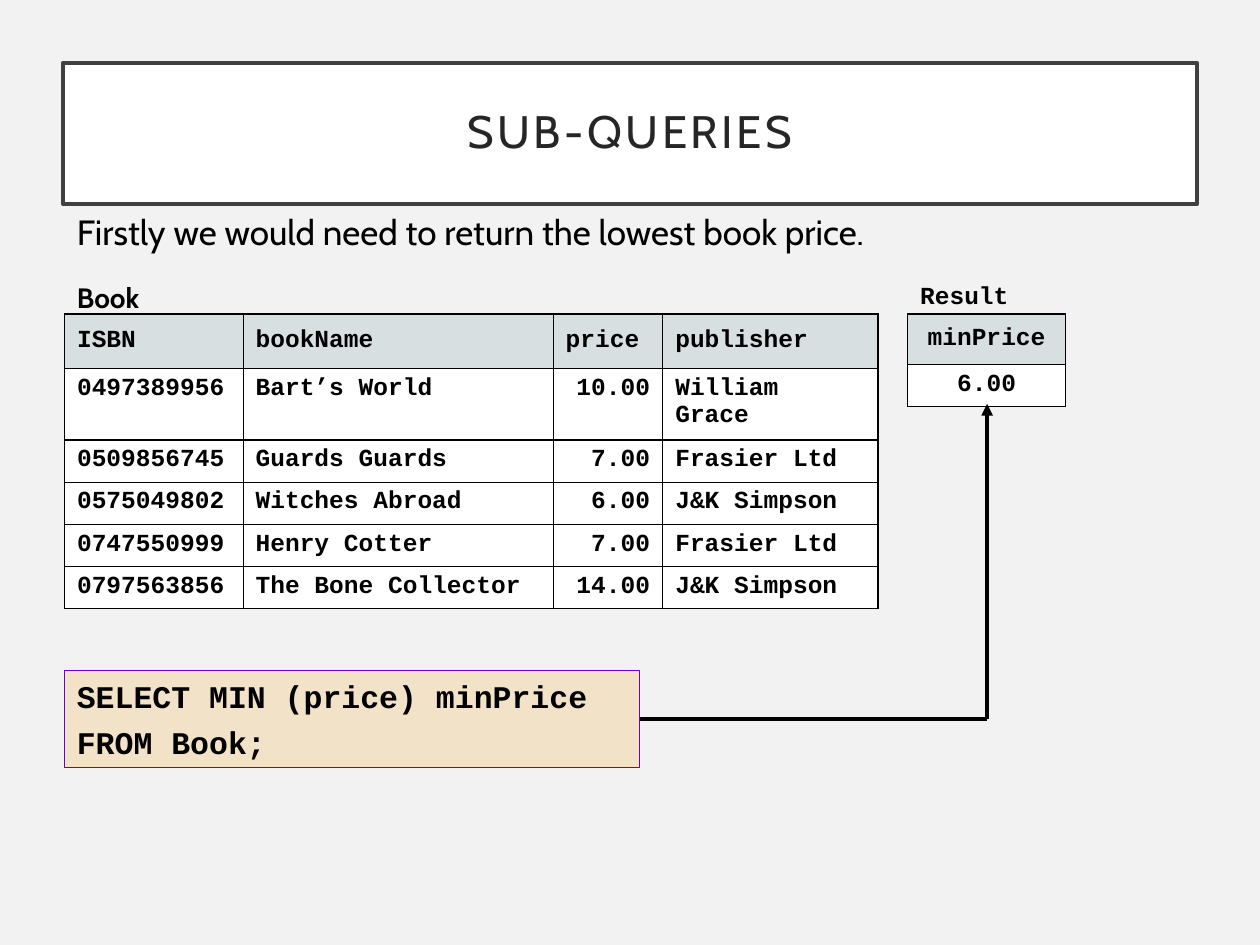
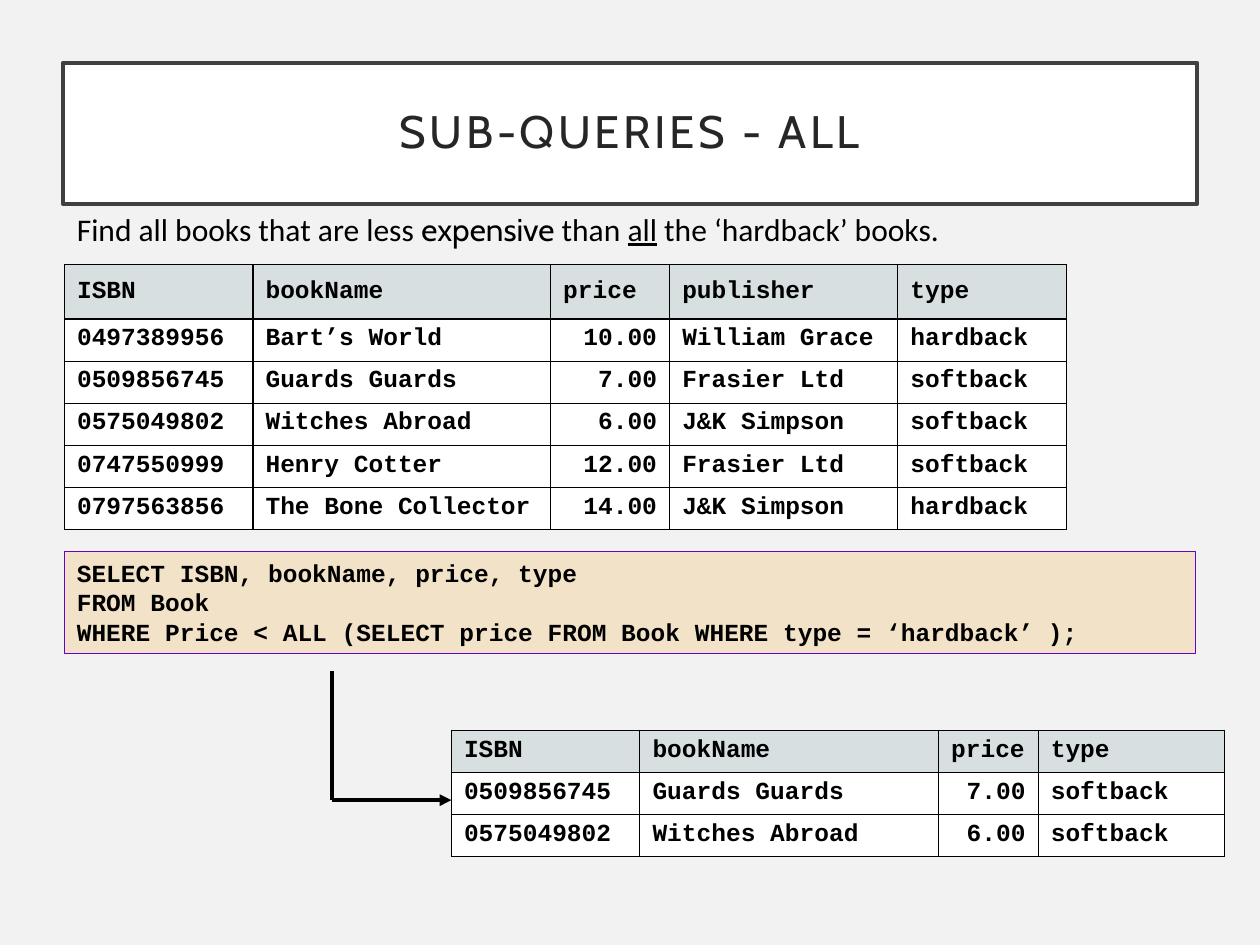
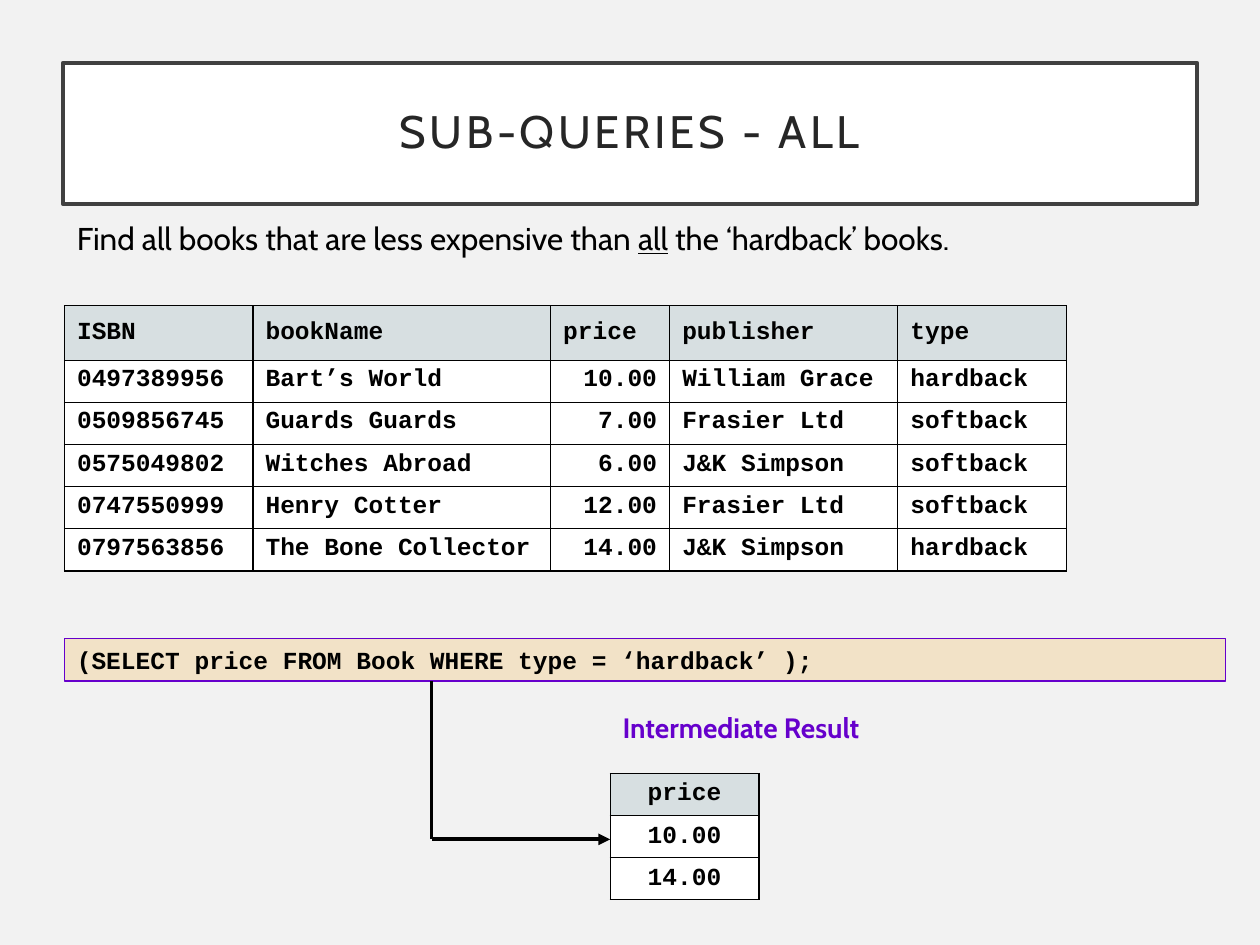
from dataclasses import dataclass

from lxml.etree import SubElement
from pptx import Presentation
from pptx.dml.color import RGBColor
from pptx.enum.shapes import MSO_CONNECTOR as Connector, MSO_SHAPE as Preset
from pptx.enum.text import MSO_ANCHOR as Anchor, MSO_AUTO_SIZE as AutoSize, PP_ALIGN as Align
from pptx.oxml.ns import qn
from pptx.util import Cm, Pt


@dataclass(frozen=True)
class Theme:
    background: str = "F2F2F2"
    white: str = "FFFFFF"
    black: str = "000000"
    title_text: str = "262626"
    title_line: str = "404040"
    table_header: str = "D7DFE1"
    query_fill: str = "F6A21D"
    accent: str = "6600CC"
    body_font: str = "Cabin"
    plain_font: str = "Calibri"
    code_font: str = "Courier New"
    title_size: float = 26
    lead_size: float = 20
    intro_size: float = 18
    label_size: float = 16
    code_size: float = 14


THEME = Theme()

# Content
BOOKS = [
    ("0497389956", "Bart’s World", "10.00", "William Grace", "hardback"),
    ("0509856745", "Guards Guards", "7.00", "Frasier Ltd", "softback"),
    ("0575049802", "Witches Abroad", "6.00", "J&K Simpson", "softback"),
    ("0747550999", "Henry Cotter", "12.00", "Frasier Ltd", "softback"),
    ("0797563856", "The Bone Collector", "14.00", "J&K Simpson", "hardback"),
]
BOOK_FIELDS = ("ISBN", "bookName", "price", "publisher", "type")
TYPED_BOOKS = [BOOK_FIELDS, *BOOKS]
EARLIER_PRICES = {"0747550999": "7.00"}
UNTYPED_BOOKS = [BOOK_FIELDS[:4]] + [
    (isbn, name, EARLIER_PRICES.get(isbn, price), publisher)
    for isbn, name, price, publisher, _ in BOOKS
]
SOFTBACKS = [("ISBN", "bookName", "price", "type")] + [
    (isbn, name, price, kind) for isbn, name, price, _, kind in BOOKS[1:3]
]
HARDBACK_PRICES = [("price",)] + [(book[2],) for book in BOOKS if book[4] == "hardback"]
LOWEST_PRICE = [("minPrice",), ("6.00",)]

ALL_TITLE = "SUB-QUERIES - ALL"
LOWEST_INTRO = "Firstly we would need to return the lowest book price."
PLAIN = {"font": THEME.plain_font}
MIXED_INTRO = [
    ("Find all books that are less ", PLAIN),
    ("expensive", {}),
    (" than ", PLAIN),
    ("all", {"underline": True, **PLAIN}),
    (" the ‘hardback’ books.", PLAIN),
]
ALL_INTRO = [
    ("Find all books that are less expensive than ", {}),
    ("all", {"underline": True}),
    (" the ‘hardback’ books.", {}),
]
LOWEST_QUERY = ["SELECT MIN (price) minPrice", "FROM Book;"]
ALL_QUERY = [
    "SELECT ISBN, bookName, price, type",
    "FROM Book",
    "WHERE Price < ALL (SELECT price FROM Book WHERE type = ‘hardback’ );",
]
INNER_QUERY = ["(SELECT price FROM Book WHERE type = ‘hardback’ );"]

# Shared measures, in centimetres
LEFT = 1.3
TITLE_BOX = (1.27, 1.27, 22.86, 2.84)
TITLE_INSET = 0.51
HEADER_HEIGHT, ROW_HEIGHT, WRAPPED_HEIGHT, RESULT_HEIGHT = 1.1, 0.85, 1.43, 0.82
TYPED_WIDTHS = (3.8, 6, 2.4, 4.6, 3.4)
UNTYPED_WIDTHS = (3.6, 6.25, 2.21, 4.34)
SOFTBACK_WIDTHS = (3.8, 6.02, 2.01, 3.76)


def color(value):
    return RGBColor.from_string(value)


def write_text(frame, paragraphs, font=THEME.body_font, size=THEME.code_size,
               ink=THEME.black, bold=False, align=Align.LEFT, gap=0, spacing=None,
               tracking=None):
    """Fill a frame; a paragraph is a string or a list of (text, overrides) runs."""
    for index, content in enumerate(paragraphs):
        paragraph = frame.add_paragraph() if index else frame.paragraphs[0]
        paragraph.alignment = align
        paragraph.space_before = Pt(gap if index else 0)
        if spacing:
            paragraph.line_spacing = spacing
        for text, override in [(content, {})] if isinstance(content, str) else content:
            run = paragraph.add_run()
            run.text = text
            run.font.name = override.get("font", font)
            run.font.size = Pt(size)
            run.font.bold = bold
            run.font.underline = override.get("underline", False)
            run.font.color.rgb = color(ink)
            if tracking:
                run.font._element.set("spc", str(tracking * 100))


def set_box(shape, fill, line, width):
    shape.fill.solid()
    shape.fill.fore_color.rgb = color(fill)
    shape.line.color.rgb = color(line)
    shape.line.width = Pt(width)


def add_titled_slide(presentation, title):
    slide = presentation.slides.add_slide(presentation.slide_layouts[5])
    shape = slide.shapes.title
    shape.left, shape.top, shape.width, shape.height = map(Cm, TITLE_BOX)
    set_box(shape, THEME.white, THEME.title_line, 2.5)
    frame = shape.text_frame
    frame.auto_size, frame.word_wrap = AutoSize.NONE, True
    frame.vertical_anchor = Anchor.MIDDLE
    frame.margin_left = frame.margin_right = Cm(TITLE_INSET)
    frame.margin_top = frame.margin_bottom = Cm(TITLE_INSET)
    write_text(frame, [title], size=THEME.title_size, ink=THEME.title_text,
               align=Align.CENTER, spacing=0.9, tracking=2)
    return slide


def add_text(slide, box, content, **text_format):
    frame = slide.shapes.add_textbox(*map(Cm, box)).text_frame
    frame.word_wrap = True
    write_text(frame, [content], **text_format)


def add_query(slide, box, lines, **text_format):
    shape = slide.shapes.add_shape(Preset.RECTANGLE, *map(Cm, box))
    shape.shadow.inherit = False
    set_box(shape, THEME.query_fill, THEME.accent, 0.75)
    tint = shape._element.spPr.find(qn("a:solidFill"))[0]
    SubElement(tint, qn("a:alpha"), val="20000")
    shape.text_frame.word_wrap = True
    shape.text_frame.vertical_anchor = Anchor.TOP
    write_text(shape.text_frame, lines, font=THEME.code_font, bold=True, **text_format)
    return shape


def add_borders(cell):
    properties = cell._tc.get_or_add_tcPr()
    for side in ("lnL", "lnR", "lnT", "lnB"):
        line = SubElement(properties, qn(f"a:{side}"), w=str(Pt(0.75)))
        SubElement(SubElement(line, qn("a:solidFill")), qn("a:srgbClr"), val=THEME.black)


def add_grid(slide, left, top, rows, widths, heights, body_anchor=Anchor.MIDDLE):
    """Draw a table; prices align right, and a single column is centred."""
    table = slide.shapes.add_table(len(rows), len(widths), Cm(left), Cm(top),
                                   Cm(sum(widths)), Cm(sum(heights))).table
    table.first_row = table.horz_banding = False
    for column, width in zip(table.columns, widths):
        column.width = Cm(width)
    for index, (row, height, values) in enumerate(zip(table.rows, heights, rows)):
        row.height = Cm(height)
        for cell, value, field in zip(row.cells, values, rows[0]):
            add_borders(cell)
            cell.fill.solid()
            cell.fill.fore_color.rgb = color(THEME.white if index else THEME.table_header)
            cell.vertical_anchor = body_anchor if index else Anchor.MIDDLE
            align = Align.RIGHT if index and field == "price" else Align.LEFT
            write_text(cell.text_frame, [value], font=THEME.code_font, bold=True,
                       align=Align.CENTER if len(widths) == 1 else align)


def add_books(slide, top, rows, widths, first_height=ROW_HEIGHT):
    heights = [HEADER_HEIGHT, first_height] + [ROW_HEIGHT] * (len(rows) - 2)
    add_grid(slide, LEFT, top, rows, widths, heights, Anchor.TOP)


def add_result(slide, left, top, rows, widths, header_height=RESULT_HEIGHT):
    heights = [header_height] + [RESULT_HEIGHT] * (len(rows) - 1)
    add_grid(slide, left, top, rows, widths, heights)


def add_elbow(slide, start, corner, end):
    """Draw two straight lines with an arrowhead at the end; return the first."""
    legs = []
    for tail, head in ((start, corner), (corner, end)):
        leg = slide.shapes.add_connector(Connector.STRAIGHT, *map(Cm, tail + head))
        leg.line.color.rgb = color(THEME.black)
        leg.line.width = Pt(2.25)
        SubElement(leg._element.spPr, qn("a:effectLst"))
        legs.append(leg)
    SubElement(legs[1].line._get_or_add_ln(), qn("a:tailEnd"), type="triangle")
    return legs[0]


def build_lowest_price(presentation):
    slide = add_titled_slide(presentation, "SUB-QUERIES")
    add_text(slide, (LEFT, 4.11, 23.8, 1.11), LOWEST_INTRO, size=THEME.lead_size)
    add_text(slide, (LEFT, 5.53, 7.4, 0.94), "Book", size=THEME.label_size, bold=True)
    add_text(slide, (18.3, 5.53, 3, 0.86), "Result", font=THEME.code_font, bold=True)
    add_books(slide, 6.33, UNTYPED_BOOKS, UNTYPED_WIDTHS, WRAPPED_HEIGHT)
    add_result(slide, 18.3, 6.33, LOWEST_PRICE, (3.18,), header_height=1.01)
    query = add_query(slide, (LEFT, 13.52, 11.6, 1.96), LOWEST_QUERY,
                      size=THEME.intro_size, gap=4.5)
    first_leg = add_elbow(slide, (12.9, 14.5), (19.9, 14.5), (19.9, 8.14))
    first_leg.begin_connect(query, 3)


def build_all_query(presentation):
    slide = add_titled_slide(presentation, ALL_TITLE)
    add_text(slide, (LEFT, 4.11, 23.4, 1.02), MIXED_INTRO, size=THEME.intro_size)
    add_books(slide, 5.33, TYPED_BOOKS, TYPED_WIDTHS)
    add_query(slide, (LEFT, 11.12, 22.8, 2.06), ALL_QUERY)
    add_result(slide, 9.1, 14.72, SOFTBACKS, SOFTBACK_WIDTHS)
    add_elbow(slide, (6.7, 13.52), (6.7, 16.13), (9.1, 16.13))


def build_inner_query(presentation):
    slide = add_titled_slide(presentation, ALL_TITLE)
    add_text(slide, (LEFT, 4.29, 23, 1.02), ALL_INTRO, size=THEME.intro_size)
    add_books(slide, 6.16, TYPED_BOOKS, TYPED_WIDTHS)
    add_query(slide, (LEFT, 12.87, 23.4, 0.86), INNER_QUERY)
    add_text(slide, (12.3, 14.2, 7.2, 0.94), "Intermediate Result",
             size=THEME.label_size, bold=True, ink=THEME.accent)
    add_result(slide, 12.3, 15.59, HARDBACK_PRICES, (3,))
    add_elbow(slide, (8.7, 13.73), (8.7, 16.92), (12.3, 16.92))


def main():
    presentation = Presentation()
    presentation.slide_width, presentation.slide_height = Cm(25.4), Cm(19.05)
    background = presentation.slide_master.background.fill
    background.solid()
    background.fore_color.rgb = color(THEME.background)
    for build in (build_lowest_price, build_all_query, build_inner_query):
        build(presentation)
    presentation.save("out.pptx")


if __name__ == "__main__":
    main()
